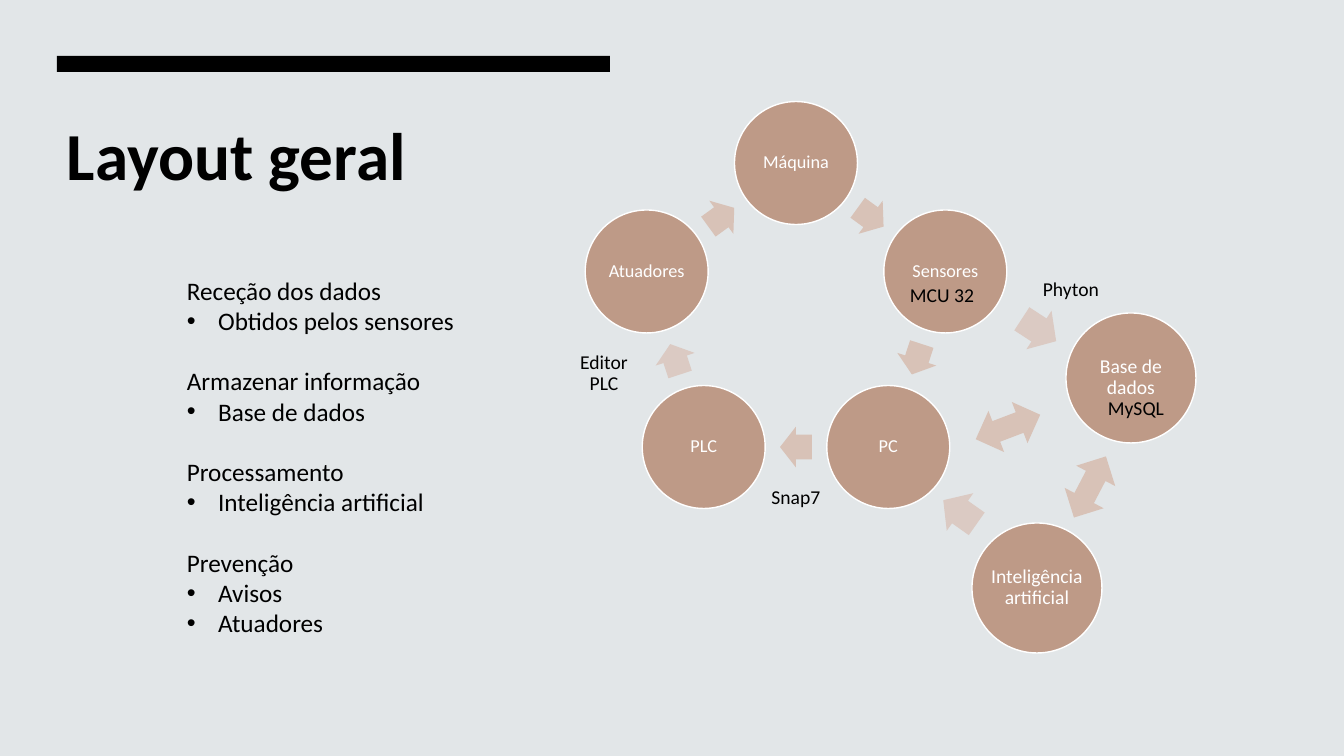
import math
from dataclasses import dataclass
from lxml import etree
from pptx import Presentation
from pptx import util as u
from pptx.dml.color import RGBColor
from pptx.enum import shapes, text
from pptx.oxml.ns import qn

PX = 12192000 / 1344


@dataclass(frozen=True)
class Theme:
    font: str = "Calibri"
    background: str = "E2E6E8"
    ink: str = "000000"
    light: str = "FFFFFF"
    node: str = "BE9A87"
    arrow: str = "D8C2B7"
    pale_arrow: str = "DBCAC3"
    title_size: int = 48
    body_size: int = 18
    label_size: int = 14
    ring_size: int = 13


THEME = Theme()
RIGHT = shapes.MSO_SHAPE.RIGHT_ARROW
BOTH = shapes.MSO_SHAPE.LEFT_RIGHT_ARROW

RING = ["Máquina", "Sensores", "PC", "PLC", "Atuadores"]
TOPICS = [
    ("Receção dos dados", ["Obtidos pelos sensores"]),
    ("Armazenar informação", ["Base de dados"]),
    ("Processamento", ["Inteligência artificial"]),
    ("Prevenção", ["Avisos", "Atuadores"]),
]
# Centres are px from the corner of the diagram
STORES = [("Base de\vdados", 571, 278), ("Inteligência\vartificial", 477, 488)]
LINKS = [
    (BOTH, 530, 387, 69, 44, 297.6, THEME.arrow),
    (RIGHT, 479, 230, 41, 46, 33.1, THEME.pale_arrow),
    (RIGHT, 400, 412, 41, 46, 215.2, THEME.pale_arrow),
    (BOTH, 448, 327, 69, 44, 339.2, THEME.arrow),
]
LABELS = [
    ("MySQL", 576, 309),
    ("Phyton", 511, 190),
    ("Snap7", 236, 398),
    ("MCU 32", 382, 196),
    ("Editor PLC", 44, 274),
]


def emu(*lengths):
    return [round(length * PX) for length in lengths]


def centred(x, y, width, height):
    return emu(x - width / 2, y - height / 2, width, height)


def style(paragraph, size, color, bold=False):
    font = paragraph.font
    font.name, font.size, font.bold = THEME.font, u.Pt(size), bold
    font.color.rgb = RGBColor.from_string(color)


def add_filled(slide, kind, place, color):
    shape = slide.shapes.add_shape(kind, *place)
    shape.shadow.inherit = False
    shape.fill.solid()
    shape.fill.fore_color.rgb = RGBColor.from_string(color)
    shape.line.fill.background()
    return shape


def write_label(shape, words, size, color):
    """Centre words in a shape, with no margins and no wrapping."""
    frame = shape.text_frame
    frame.word_wrap = False
    frame.vertical_anchor = text.MSO_ANCHOR.MIDDLE
    frame.margin_left = frame.margin_right = 0
    frame.margin_top = frame.margin_bottom = 0
    paragraph = frame.paragraphs[0]
    paragraph.text = words
    paragraph.alignment = text.PP_ALIGN.CENTER
    paragraph.line_spacing = 0.9
    style(paragraph, size, color)


def add_node(slide, words, x, y, diameter, size):
    place = centred(x, y, diameter, diameter)
    node = add_filled(slide, shapes.MSO_SHAPE.OVAL, place, THEME.node)
    node.line.color.rgb = RGBColor.from_string(THEME.light)
    node.line.width = u.Pt(1)
    write_label(node, words, size, THEME.light)


def add_arrow(slide, kind, x, y, width, height, angle, color):
    arrow = add_filled(slide, kind, centred(x, y, width, height), color)
    arrow.rotation = angle
    if kind == RIGHT:
        arrow.adjustments[0] = 0.6


def add_heading(slide, left, top, width, height):
    add_filled(slide, shapes.MSO_SHAPE.RECTANGLE, emu(left, top, width, 16), THEME.ink)
    title = slide.shapes.add_textbox(*emu(left, top + 52, width, height - 52))
    title.text_frame.word_wrap = True
    paragraph = title.text_frame.paragraphs[0]
    paragraph.text = "Layout geral"
    style(paragraph, THEME.title_size, THEME.ink, bold=True)


def add_bullet(paragraph):
    properties = paragraph._p.get_or_add_pPr()
    indent = u.Inches(0.31)
    properties.set("marL", str(indent))
    properties.set("indent", str(-indent))
    etree.SubElement(properties, qn("a:buFont"), typeface="Arial")
    etree.SubElement(properties, qn("a:buChar"), char="•")


def add_topics(slide, left, top, width, height):
    frame = slide.shapes.add_textbox(*emu(left, top, width, height)).text_frame
    frame.word_wrap = False
    for number, (topic, points) in enumerate(TOPICS):
        heading = frame.add_paragraph() if number else frame.paragraphs[0]
        heading.text = topic
        if number:
            heading.space_before = u.Pt(21.6)
        style(heading, THEME.body_size, THEME.ink)
        for point in points:
            item = frame.add_paragraph()
            item.text = point
            add_bullet(item)
            style(item, THEME.body_size, THEME.ink)


def add_ring(slide, x, y, radius):
    """Place the cycle clockwise from the top, an arrow halfway to each next node."""
    step = 360 / len(RING)
    halfway = radius * math.cos(math.radians(step / 2))

    def around(angle, distance):
        turn = math.radians(angle)
        return x + distance * math.sin(turn), y - distance * math.cos(turn)

    for number, words in enumerate(RING):
        angle = number * step
        add_node(slide, words, *around(angle, radius), 123, THEME.ring_size)
        color = THEME.pale_arrow if words == "PLC" else THEME.arrow
        middle = around(angle + step / 2, halfway)
        add_arrow(slide, RIGHT, *middle, 32, 41, angle + step / 2, color)


def add_diagram(slide, left, top):
    add_ring(slide, left + 236, top + 220, 157)
    for words, x, y in STORES:
        add_node(slide, words, left + x, top + y, 130, THEME.label_size)
    for kind, x, y, *look in LINKS:
        add_arrow(slide, kind, left + x, top + y, *look)
    for words, x, y in LABELS:
        label = slide.shapes.add_textbox(*centred(left + x, top + y, 80, 28))
        write_label(label, words, THEME.label_size, THEME.ink)


def main():
    deck = Presentation()
    deck.slide_width, deck.slide_height = emu(1344, 756)
    slide = deck.slides.add_slide(deck.slide_layouts[6])
    slide.background.fill.solid()
    slide.background.fill.fore_color.rgb = RGBColor.from_string(THEME.background)
    add_heading(slide, 57, 56, 553, 589)
    add_topics(slide, 177, 270, 312, 377)
    add_diagram(slide, 560, 100)
    deck.save("out.pptx")


if __name__ == "__main__":
    main()
